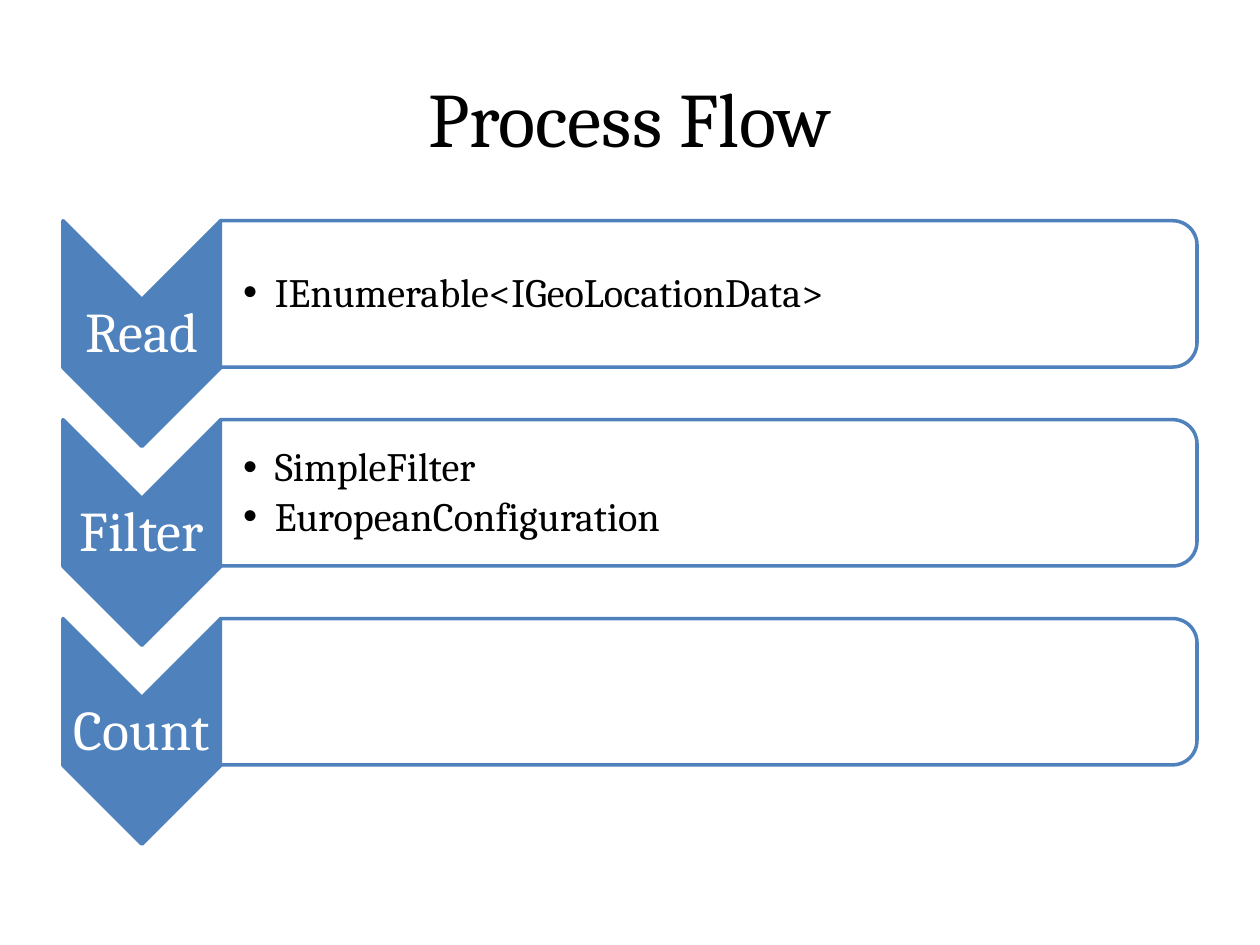
from lxml.etree import SubElement
from pptx import Presentation
from pptx.dml.color import RGBColor
from pptx.enum.shapes import MSO_SHAPE
from pptx.enum.text import MSO_ANCHOR, PP_ALIGN
from pptx.oxml.ns import qn
from pptx.util import Cm, Pt

# Content
TITLE = "Process Flow"
STEPS = [
    ("Read", ["IEnumerable<IGeoLocationData>"]),
    ("Filter", ["SimpleFilter", "EuropeanConfiguration"]),
    ("Count", []),
]

# Layout in cm: left, top, width, height of the first row's parts
PITCH = 4.01
CHEVRON = (1.27, 4.45, 3.18, 4.55)
LABEL = (1.27, 6.05, 3.18, 1.37)
BAR = (4.44, 4.45, 19.69, 2.95)
BULLETS = (4.45, 4.6, 19.53, 2.67)
BLUE, WHITE, BLACK = "4F81BD", "FFFFFF", "000000"

TITLE_STYLE = dict(size=Pt(44), color=BLACK)
LABEL_STYLE = dict(size=Pt(32), color=WHITE)
BULLET_STYLE = dict(size=Pt(23), color=BLACK)


def rgb(value):
    return RGBColor.from_string(value)


def lower(box, row):
    left, top, width, height = box
    return left, top + row * PITCH, width, height


def add_turned(s, kind, box, fill):
    """Add a shape turned by 90 degrees that fills the box once turned."""
    left, top, width, height = box
    shift = (width - height) / 2
    sp = s.shapes.add_shape(kind, Cm(left + shift), Cm(top - shift), Cm(height), Cm(width))
    sp.rotation = 90
    sp.shadow.inherit = False
    sp.fill.solid()
    sp.fill.fore_color.rgb = rgb(fill)
    sp.line.color.rgb = rgb(BLUE)
    sp.line.width = Pt(2)
    return sp


def add_text(s, box, lines, style, margins=None, **paragraph):
    tf = s.shapes.add_textbox(*map(Cm, box)).text_frame
    tf.word_wrap = True
    tf.vertical_anchor = MSO_ANCHOR.MIDDLE
    for side, gap in (margins or {}).items():
        setattr(tf, f"margin_{side}", Cm(gap))
    for i, line in enumerate(lines):
        p = tf.add_paragraph() if i else tf.paragraphs[0]
        for name, value in paragraph.items():
            setattr(p, name, value)
        r = p.add_run()
        r.text = line
        r.font.name = "Cambria"
        r.font.size = style["size"]
        r.font.color.rgb = rgb(style["color"])
    return tf


def add_bullet(p):
    pPr = p._p.get_or_add_pPr()
    pPr.set("marL", str(Cm(0.64)))
    pPr.set("indent", str(-Cm(0.64)))
    SubElement(pPr, qn("a:buFont"), typeface="Arial")
    SubElement(pPr, qn("a:buChar"), char="•")


prs = Presentation()
prs.slide_width, prs.slide_height = Cm(25.4), Cm(19.05)
s = prs.slides.add_slide(prs.slide_layouts[6])

# Title
add_text(s, (1.27, 0.76, 22.86, 3.18), [TITLE], TITLE_STYLE, alignment=PP_ALIGN.CENTER)

# One chevron and one bar for each step
narrow = dict.fromkeys(("left", "top", "right", "bottom"), 0.05)
for row, (label, bullets) in enumerate(STEPS):
    add_turned(s, MSO_SHAPE.CHEVRON, lower(CHEVRON, row), BLUE)
    add_text(s, lower(LABEL, row), [label], LABEL_STYLE, narrow,
             alignment=PP_ALIGN.CENTER, line_spacing=0.9)
    add_turned(s, MSO_SHAPE.ROUND_2_SAME_RECTANGLE, lower(BAR, row), WHITE)
    if bullets:
        tf = add_text(s, lower(BULLETS, row), bullets, BULLET_STYLE, {**narrow, "left": 0.45},
                      line_spacing=0.9, space_after=Pt(3.5))
        for p in tf.paragraphs:
            add_bullet(p)

prs.save("out.pptx")
